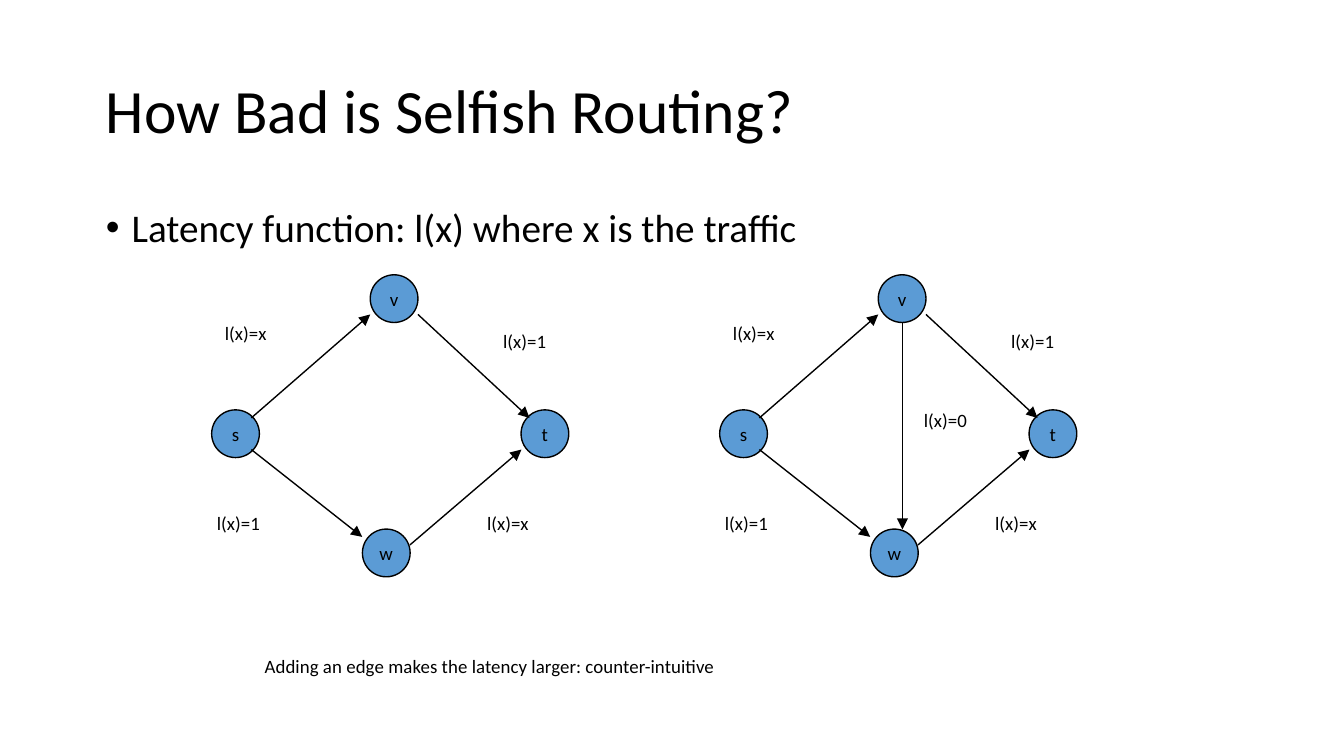
"""Build a slide comparing a routing network before and after adding an edge."""
from lxml import etree
from pptx import Presentation, util as u
from pptx.dml import color
from pptx.enum import shapes, text
from pptx.oxml import ns

rgb = color.RGBColor.from_string
prs = Presentation()
prs.slide_width = u.Inches(10)
prs.slide_height = prs.slide_width * 9 // 16
slide = prs.slides.add_slide(prs.slide_layouts[6])
CELL = prs.slide_width / 100
SHIFT = 37.8
NODE = 3.55


def grid(*cells):
    return [round(n * CELL) for n in cells]


def write(s, words, size=10.13, wrap=True):
    tf = s.text_frame
    tf.word_wrap = wrap
    p = tf.paragraphs[0]
    p.text = words
    p.font.name, p.font.size = "Calibri", u.Pt(size)
    p.font.color.rgb = rgb("000000")
    return tf, p


title = slide.shapes.add_textbox(*grid(6.9, 3, 86.2, 10.9))
tf, p = write(title, "How Bad is Selfish Routing?", 33)
tf.vertical_anchor = text.MSO_ANCHOR.MIDDLE
p.line_spacing = 0.9

body = slide.shapes.add_textbox(*grid(6.9, 15, 86.2, 35.7))
tf, p = write(body, "Latency function: l(x) where x is the traffic", 21)
p.line_spacing, p.space_before = 0.9, u.Pt(7.5)
pPr = p._p.get_or_add_pPr()
pPr.set("marL", str(u.Inches(0.19)))
pPr.set("indent", str(-u.Inches(0.19)))
font = etree.Element(ns.qn("a:buFont"), typeface="Arial")
bullet = etree.Element(ns.qn("a:buChar"), char="•")
pPr.insert_element_before(font, "a:defRPr")
pPr.insert_element_before(bullet, "a:defRPr")

nodes = [("v", 27.55, 20.45), ("t", 38.77, 30.5), ("w", 26.97, 39.37), ("s", 15.75, 30.5)]
edges = [(18.7, 31.1, 27.55, 23.4), (30.5, 40.55, 38.8, 33.45),
         (18.7, 33.45, 26.95, 39.95), (31.1, 23.4, 39.4, 31.1)]
labels = [("l(x)=x", 15.75, 23.45), ("l(x)=1", 36.45, 24),
          ("l(x)=x", 35.25, 37.6), ("l(x)=1", 15.15, 37.6)]
shortcut = [(29.35, 24, 29.35, 39.4)]
shortcut_label = [("l(x)=0", 29.95, 29.9)]

for dx, extra_edges, extra_labels in [(0, [], []), (SHIFT, shortcut, shortcut_label)]:
    for name, x, y in nodes:
        s = slide.shapes.add_shape(shapes.MSO_SHAPE.OVAL, *grid(x + dx, y, NODE, NODE))
        s.shadow.inherit = False
        s.fill.solid()
        s.fill.fore_color.rgb = rgb("5B9BD5")
        s.line.color.rgb, s.line.width = rgb("000000"), u.Pt(0.75)
        tf, p = write(s, name, wrap=False)
        tf.vertical_anchor = text.MSO_ANCHOR.MIDDLE
        p.alignment = text.PP_ALIGN.CENTER
    for x1, y1, x2, y2 in edges + extra_edges:
        s = slide.shapes.add_connector(
            shapes.MSO_CONNECTOR.STRAIGHT, *grid(x1 + dx, y1, x2 + dx, y2))
        s.line.color.rgb, s.line.width = rgb("000000"), u.Pt(0.75)
        etree.SubElement(s.line._get_or_add_ln(), ns.qn("a:tailEnd"), type="triangle")
        etree.SubElement(s._element.spPr, ns.qn("a:effectLst"))
    for words, x, y in labels + extra_labels:
        write(slide.shapes.add_textbox(*grid(x + dx, y, 7.1, 2.7)), words)

note = slide.shapes.add_textbox(*grid(18.7, 48.25, 63.8, 2.7))
write(note, "Adding an edge makes the latency larger: counter-intuitive")

prs.save("out.pptx")
